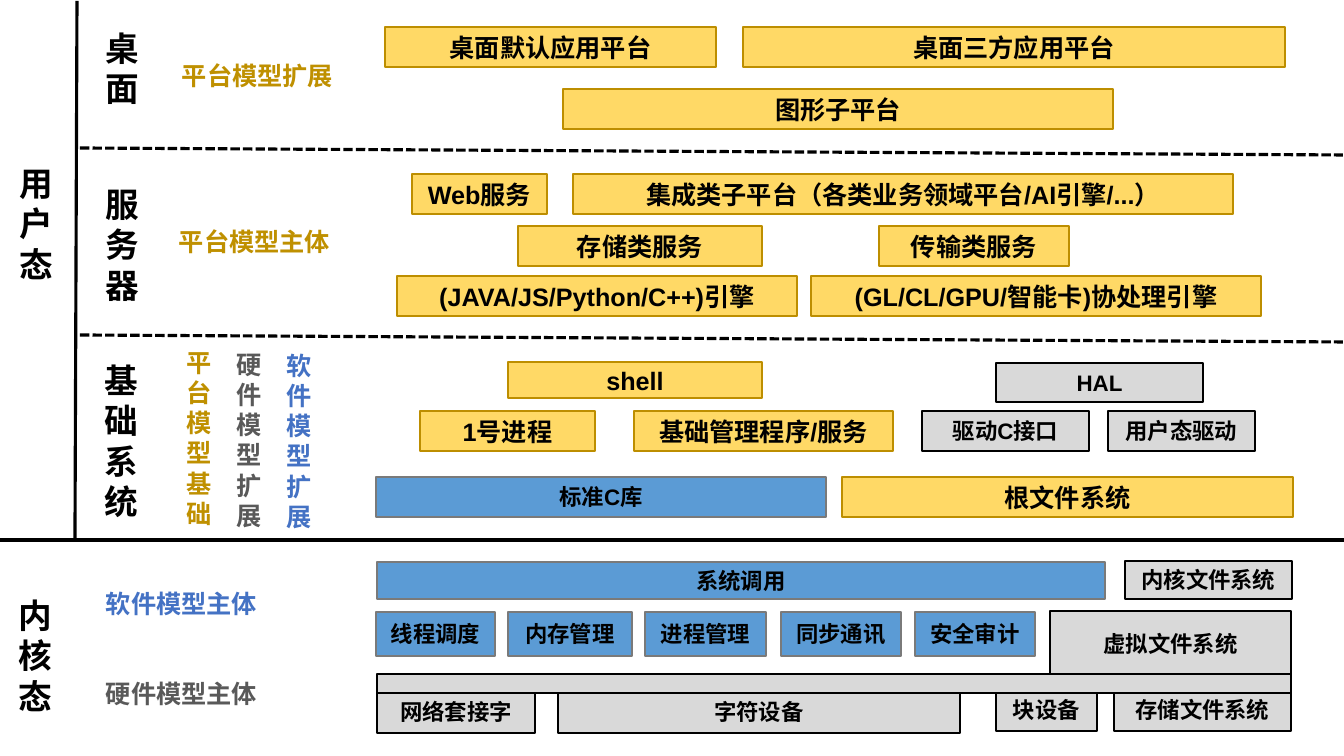
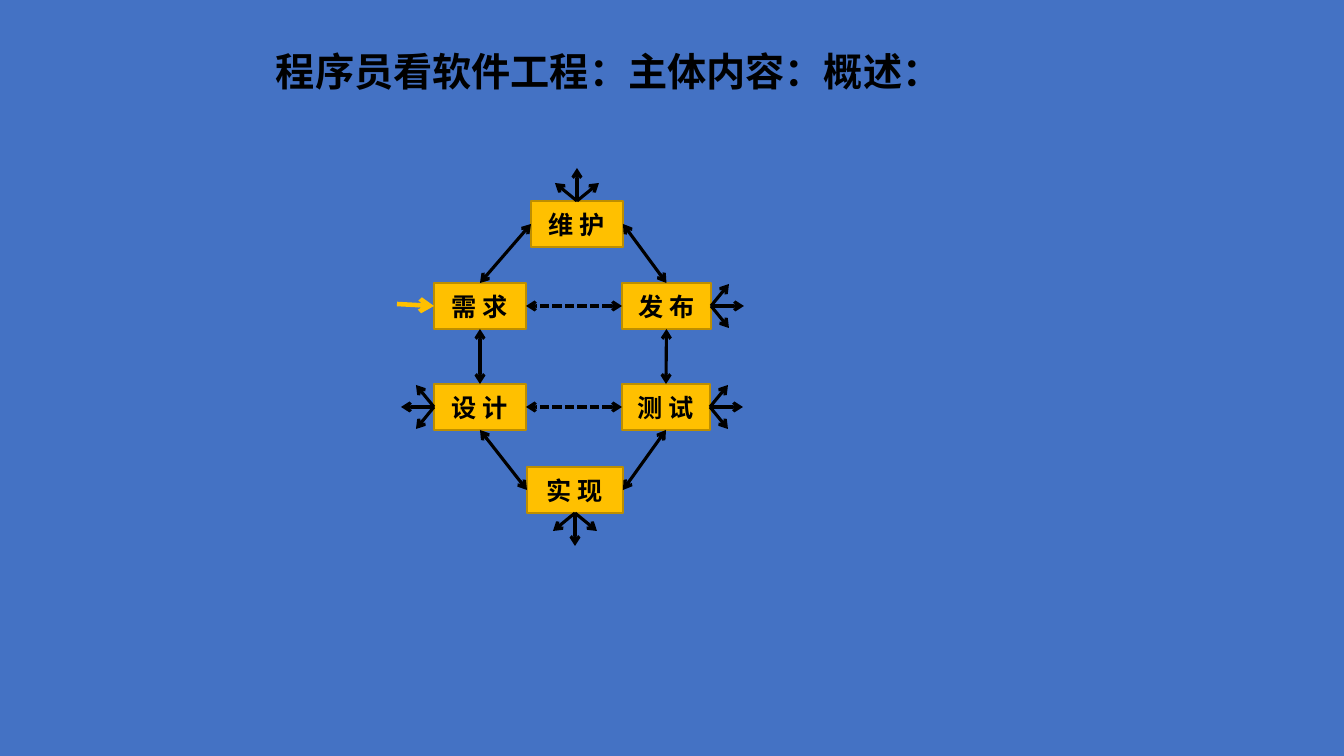
from pptx import Presentation
from pptx.dml.color import RGBColor
from pptx.enum.dml import MSO_LINE
from pptx.enum.lang import MSO_LANGUAGE_ID as LANG
from pptx.enum.shapes import MSO_CONNECTOR, MSO_SHAPE
from pptx.enum.text import MSO_ANCHOR, MSO_AUTO_SIZE, PP_ALIGN
from pptx.oxml.ns import qn
from pptx.util import Pt
from lxml.etree import SubElement

EMU_PER_PX = 914400 / 100.8
BLACK, BLUE, GOLD, GRAY, AMBER = "000000", "4472C4", "BF9000", "595959", "FFC000"
FONT = {"name": "Arial", "bold": True, "language_id": LANG.SIMPLIFIED_CHINESE}
BOX_STYLES = {
    "platform": {"fill": "FFD966", "line": "BD8E00", "size": 18},
    "software": {"fill": "5B9BD5", "line": "7A7A7A", "size": 16},
    "hardware": {"fill": "D9D9D9", "line": BLACK, "size": 16},
    "stage": {"fill": AMBER, "line": "BD8E00", "size": 18},
}
TOP, LEFT, BOTTOM, RIGHT = range(4)
SIDE_DIRECTIONS = [(0, -1), (-1, 0), (0, 1), (1, 0)]

LAYER_LINES = [
    ((80, 335), (1343, 342), True),
    ((80, 148), (1343, 155), True),
    ((0, 540), (1344, 540), False),
    ((75, 540), (77, 1), False),
]
LAYER_LABELS = [
    ("用户态", 10, 158, 50, 132, 24, BLACK),
    ("内核态", 9, 590, 50, 132, 24, BLACK),
    ("桌面", 96, 23, 57, 92, 24, BLACK),
    ("服务器", 96, 179, 57, 132, 24, BLACK),
    ("基础系统", 95, 355, 57, 173, 24, BLACK),
    ("平台模型扩展", 172, 55, 177, 40, 18, GOLD),
    ("平台模型主体", 169, 221, 177, 40, 18, GOLD),
    ("平台模型基础", 177, 342, 47, 194, 18, GOLD),
    ("硬件模型扩展", 227, 344, 55, 194, 18, GRAY),
    ("软件模型扩展", 277, 345, 47, 194, 18, BLUE),
    ("软件模型主体", 96, 583, 177, 40, 18, BLUE),
    ("硬件模型主体", 96, 673, 177, 40, 18, GRAY),
]
LAYER_ROWS = [
    ("platform", 27, 40, [("桌面默认应用平台", 385, 331), ("桌面三方应用平台", 743, 542)]),
    ("platform", 89, 40, [("图形子平台", 563, 550)]),
    ("platform", 174, 40, [("Web服务", 412, 135),
                           ("集成类子平台（各类业务领域平台/AI引擎/...）", 573, 660)]),
    ("platform", 226, 40, [("存储类服务", 518, 244), ("传输类服务", 879, 190)]),
    ("platform", 276, 40, [("(JAVA/JS/Python/C++)引擎", 397, 400),
                           ("(GL/CL/GPU/智能卡)协处理引擎", 811, 450)]),
    ("platform", 362, 36, [("shell", 508, 254)]),
    ("hardware", 363, 39, [("HAL", 996, 207)]),
    ("platform", 411, 40, [("1号进程", 420, 175), ("基础管理程序/服务", 634, 259)]),
    ("hardware", 411, 40, [("驱动C接口", 922, 167), ("用户态驱动", 1108, 147)]),
    ("software", 477, 40, [("标准C库", 376, 450)]),
    ("platform", 477, 40, [("根文件系统", 842, 451)]),
    ("software", 562, 37, [("系统调用", 377, 728)]),
    ("hardware", 561, 38, [("内核文件系统", 1125, 167)]),
    ("software", 612, 44, [("线程调度", 376, 119), ("内存管理", 508, 124), ("进程管理", 645, 121),
                           ("同步通讯", 781, 120), ("安全审计", 915, 120)]),
    ("hardware", 611, 66, [("虚拟文件系统", 1050, 241)]),
    ("hardware", 690, 43, [("网络套接字", 377, 158), ("字符设备", 558, 402)]),
    ("hardware", 688, 43, [("块设备", 996, 101), ("存储文件系统", 1114, 177)]),
    ("hardware", 674, 19, [("", 377, 914)]),
]
STAGES = [
    ("维 护", 531, 201, 92), ("需 求", 434, 283, 92), ("发 布", 622, 283, 89),
    ("设 计", 434, 384, 92), ("测 试", 622, 384, 88), ("实 现", 527, 467, 96),
]
STAGE_LINKS = [
    ("维 护", LEFT, "需 求", TOP, False), ("维 护", RIGHT, "发 布", TOP, False),
    ("需 求", BOTTOM, "设 计", TOP, False), ("发 布", BOTTOM, "测 试", TOP, False),
    ("设 计", BOTTOM, "实 现", LEFT, False), ("测 试", BOTTOM, "实 现", RIGHT, False),
    ("发 布", LEFT, "需 求", RIGHT, True), ("测 试", LEFT, "设 计", RIGHT, True),
]
STAGE_FANS = [("维 护", TOP), ("发 布", RIGHT), ("测 试", RIGHT), ("设 计", LEFT), ("实 现", BOTTOM)]


def px(n):
    """Turn pixels into EMU."""
    return round(n * EMU_PER_PX)


def color(value):
    """Turn a hex string into a colour."""
    return RGBColor.from_string(value)


def add_slide(prs, background):
    """Add a blank slide with a plain background."""
    s = prs.slides.add_slide(prs.slide_layouts[6])
    s.background.fill.solid()
    s.background.fill.fore_color.rgb = color(background)
    return s


def write_text(tf, text, size, hex_color, align):
    """Write one formatted paragraph into a text frame."""
    tf.word_wrap = True
    p = tf.paragraphs[0]
    p.alignment = align
    r = p.add_run()
    r.text = text
    for name, value in {**FONT, "size": Pt(size)}.items():
        setattr(r.font, name, value)
    r.font.color.rgb = color(hex_color)


def add_label(s, text, x, y, w, h, size, hex_color):
    """Add a left-aligned text box."""
    tf = s.shapes.add_textbox(*map(px, (x, y, w, h))).text_frame
    write_text(tf, text, size, hex_color, PP_ALIGN.LEFT)
    tf.auto_size = MSO_AUTO_SIZE.SHAPE_TO_FIT_TEXT


def add_box(s, style, text, x, y, w, h):
    """Add a rectangle in a named style with centred text."""
    look = BOX_STYLES[style]
    sp = s.shapes.add_shape(MSO_SHAPE.RECTANGLE, *map(px, (x, y, w, h)))
    sp.shadow.inherit = False
    sp.fill.solid()
    sp.fill.fore_color.rgb = color(look["fill"])
    sp.line.color.rgb = color(look["line"])
    sp.line.width = Pt(1)
    sp.text_frame.vertical_anchor = MSO_ANCHOR.MIDDLE
    if text:
        write_text(sp.text_frame, text, look["size"], BLACK, PP_ALIGN.CENTER)
    return sp


def add_line(s, start=(0, 0), end=(0, 0), dashed=False, arrows=(), hex_color=BLACK, width=2.25):
    """Add a straight line, with arrows naming its arrowed ends."""
    cx = s.shapes.add_connector(MSO_CONNECTOR.STRAIGHT, *map(px, (*start, *end)))
    cx.line.color.rgb = color(hex_color)
    cx.line.width = Pt(width)
    if dashed:
        cx.line.dash_style = MSO_LINE.SQUARE_DOT
    properties = cx._element.spPr
    for tag in arrows:
        SubElement(properties.find(qn("a:ln")), qn(f"a:{tag}"), type="arrow")
    SubElement(properties, qn("a:effectLst"))
    return cx


def add_link(s, source, source_side, target, target_side, dashed):
    """Join two stages with a double-headed arrow."""
    cx = add_line(s, dashed=dashed, arrows=("headEnd", "tailEnd"))
    cx.begin_connect(source, source_side)
    cx.end_connect(target, target_side)


def add_fan(s, stage, side):
    """Spread three arrows outwards from one side of a stage."""
    dx, dy = SIDE_DIRECTIONS[side]
    x = (stage.left + stage.width * (1 + dx) / 2) / EMU_PER_PX
    y = (stage.top + stage.height * (1 + dy) / 2) / EMU_PER_PX
    for along, across in ((33, 0), (18, -22), (18, 22)):
        tip = (x + along * dx + across * dy, y + along * dy + across * dx)
        cx = add_line(s, (x, y), tip, arrows=("tailEnd",))
        cx.begin_connect(stage, side)


def build_layers(prs):
    """Build the slide of system layers."""
    s = add_slide(prs, "FFFFFF")
    for line in LAYER_LINES:
        add_line(s, *line)
    for label in LAYER_LABELS:
        add_label(s, *label)
    for style, y, h, boxes in LAYER_ROWS:
        for text, x, w in boxes:
            add_box(s, style, text, x, y, w, h)


def build_cycle(prs):
    """Build the slide of the engineering cycle."""
    s = add_slide(prs, BLUE)
    add_label(s, "程序员看软件工程：主体内容：概述：", 266, 42, 675, 57, 28, BLACK)
    stages = {text: add_box(s, "stage", text, x, y, w, 46) for text, x, y, w in STAGES}
    for source, source_side, target, target_side, dashed in STAGE_LINKS:
        add_link(s, stages[source], source_side, stages[target], target_side, dashed)
    for text, side in STAGE_FANS:
        add_fan(s, stages[text], side)
    entry = add_line(s, (397, 304), (434, 306), arrows=("tailEnd",), hex_color=AMBER, width=3.25)
    entry.end_connect(stages["需 求"], LEFT)


def main():
    """Build and save the presentation."""
    prs = Presentation()
    prs.slide_width, prs.slide_height = px(1344), px(756)
    build_layers(prs)
    build_cycle(prs)
    prs.save("out.pptx")


if __name__ == "__main__":
    main()
